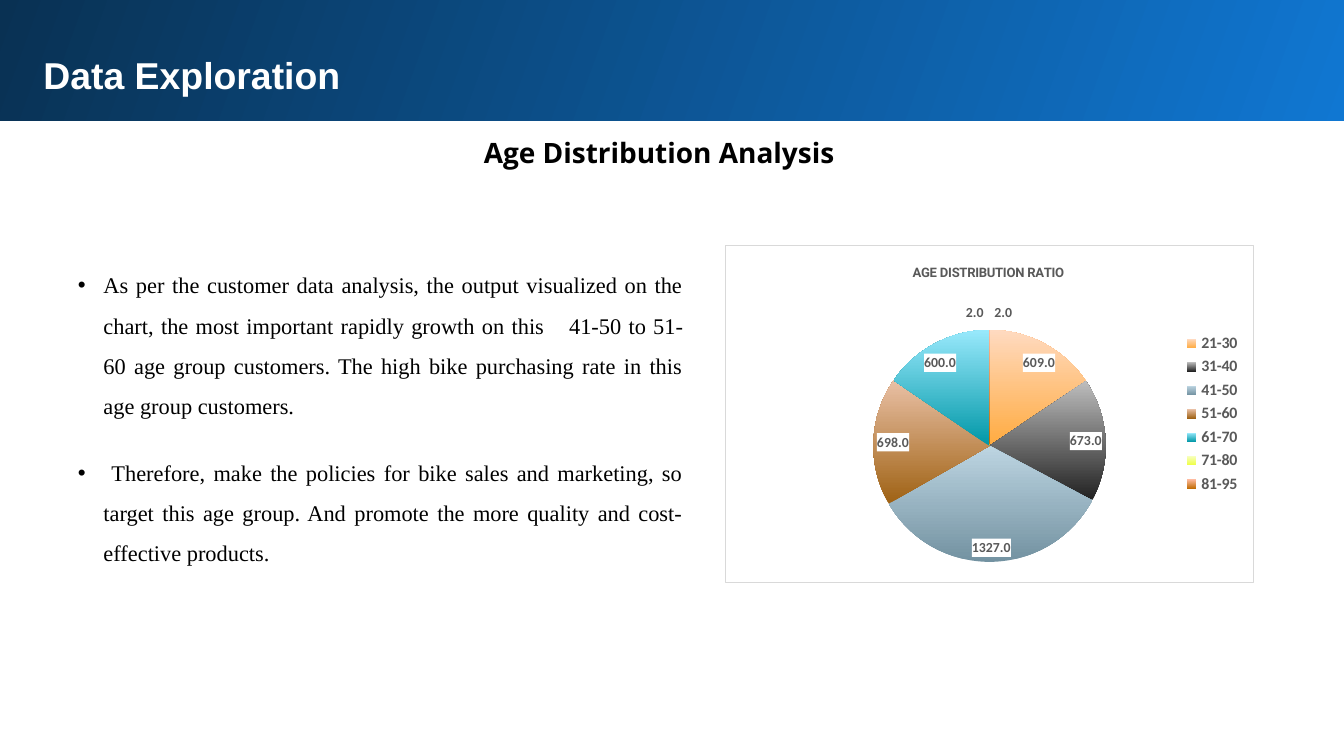
from dataclasses import dataclass

from lxml.etree import SubElement
from pptx import Presentation
from pptx.chart.data import CategoryChartData
from pptx.dml.color import RGBColor
from pptx.enum.chart import XL_CHART_TYPE, XL_LABEL_POSITION, XL_LEGEND_POSITION
from pptx.enum.shapes import MSO_SHAPE
from pptx.enum.text import MSO_AUTO_SIZE, PP_ALIGN
from pptx.oxml import parse_xml
from pptx.oxml.ns import nsdecls, qn
from pptx.util import Inches, Pt


@dataclass(frozen=True)
class Theme:
    wide: float = 10
    high: float = 10 * 9 / 16
    white: str = "FFFFFF"
    black: str = "000000"
    gray: str = "595959"
    edge: str = "D9D9D9"
    bar: tuple = ("1077D2", "093153")
    head: float = 20
    sub: float = 15
    body: float = 12
    title: float = 7
    label: float = 7.4
    legend: float = 8.5


T = Theme()
AGES = (
    ("21-30", 609, ("FFAB40", "FFDAC0")),
    ("31-40", 673, ("212121", "BDBDBD")),
    ("41-50", 1327, ("7392A1", "BDD5E2")),
    ("51-60", 698, ("9F6214", "E9C0A5")),
    ("61-70", 600, ("0097A7", "99E9FC")),
    ("71-80", 2, ("EEFF41", "F7FFC0")),
    ("81-95", 2, ("BF6B00", "FFBBA0")),
)
POINTS = (
    ("As per the customer data analysis, the output visualized on the chart, "
     "the most important rapidly growth on this", " ",
     "41-50 to 51-60 age group customers. "
     "The high bike purchasing rate in this age group customers."),
    (" Therefore, make the policies for bike sales and marketing, so target this "
     "age group. And promote the more quality and cost-effective products.",),
)


def area(left, top, width, height):
    across, down = T.wide / 100, T.high / 100
    return [Inches(n) for n in (left * across, top * down, width * across, height * down)]


def apply(item, **values):
    for name, value in values.items():
        setattr(item, name, value)


def style(font, name, size, color, bold=True):
    apply(font, name=name, size=Pt(size), bold=bold)
    font.color.rgb = RGBColor.from_string(color)


def blend(fill, colors, angle):
    fill.gradient()
    fill.gradient_angle = angle
    for stop, color in zip(fill.gradient_stops, colors):
        stop.color.rgb = RGBColor.from_string(color)


def add_bar(slide):
    bar = slide.shapes.add_shape(MSO_SHAPE.RECTANGLE, *area(-0.2, -0.4, 100.5, 16.4))
    bar.shadow.inherit = False
    bar.line.fill.background()
    blend(bar.fill, T.bar, 160)


def add_text(slide, box, lines, font, align):
    frame = slide.shapes.add_textbox(*area(*box)).text_frame
    gap = Inches(0.1)
    apply(frame, word_wrap=True, auto_size=MSO_AUTO_SIZE.SHAPE_TO_FIT_TEXT,
          margin_left=gap, margin_right=gap, margin_top=gap, margin_bottom=gap)
    for i, line in enumerate(lines):
        para = frame.add_paragraph() if i else frame.paragraphs[0]
        para.alignment = align
        for part in line:
            run = para.add_run()
            run.text = part
            style(run.font, *font)
            if part == " ":
                run.font._element.set("spc", "900")
    return frame.paragraphs


def add_list(slide, box, lines):
    font = ("Times New Roman", T.body, T.black, False)
    paras = add_text(slide, box, lines, font, PP_ALIGN.JUSTIFY)
    for i, para in enumerate(paras):
        apply(para, line_spacing=1.5, space_before=Pt(14 if i else 0))
        props = para._p.get_or_add_pPr()
        props.set("marL", str(Inches(0.19)))
        props.set("indent", str(Inches(-0.19)))
        SubElement(props, qn("a:buFont"), typeface="Arial")
        SubElement(props, qn("a:buChar"), char="•")


def paint(fill, line=""):
    edge = f'<a:ln w="{Pt(0.75)}"><a:solidFill><a:srgbClr val="{line}"/></a:solidFill></a:ln>'
    return parse_xml(
        f'<c:spPr {nsdecls("c", "a")}><a:solidFill><a:srgbClr val="{fill}"/></a:solidFill>'
        f'{edge if line else "<a:ln><a:noFill/></a:ln>"}</c:spPr>')


def place(**spots):
    parts = "".join(f'<c:{k} val="{v}"/>' for k, v in spots.items())
    return parse_xml(f'<c:layout {nsdecls("c")}><c:manualLayout>{parts}</c:manualLayout></c:layout>')


def seat(holder, layout):
    for old in holder.findall(qn("c:layout")):
        holder.remove(old)
    text = holder.find(qn("c:tx"))
    if text is None:
        holder.insert(0, layout)
    else:
        text.addnext(layout)


def add_pie(slide, box):
    data = CategoryChartData(number_format="0.0")
    data.categories = [age for age, _, _ in AGES]
    data.add_series("Series 1", [count for _, count, _ in AGES])
    chart = slide.shapes.add_chart(XL_CHART_TYPE.PIE, *area(*box), data).chart
    style(chart.font, "Arial", 10, T.black, False)
    apply(chart, has_title=True, has_legend=True)

    run = chart.chart_title.text_frame.paragraphs[0].add_run()
    run.text = "AGE DISTRIBUTION RATIO"
    style(run.font, "Roboto", T.title, T.gray)
    apply(chart.legend, position=XL_LEGEND_POSITION.RIGHT, include_in_layout=True)
    style(chart.legend.font, "Calibri", T.legend, T.gray)

    plot = chart.plots[0]
    plot.vary_by_categories = True
    series = plot.series[0]
    for i, (_, _, colors) in enumerate(AGES):
        form = series.points[i].format
        blend(form.fill, colors, 90)
        form.line.fill.background()
    labels = series.data_labels
    apply(labels, show_value=True, number_format="0.0", number_format_is_linked=False,
          position=XL_LABEL_POSITION.BEST_FIT)
    style(labels.font, "Calibri", T.label, T.gray)
    labels._element.find(qn("c:txPr")).addprevious(paint(T.white))
    for lead in labels._element.findall(qn("c:showLeaderLines")):
        lead.set("val", "0")

    root = chart._chartSpace.find(qn("c:chart"))
    root.addnext(paint(T.white, T.edge))
    seat(root.find(qn("c:title")), place(xMode="edge", yMode="edge", x=0.35, y=0.05))
    seat(root.find(qn("c:plotArea")), place(
        layoutTarget="inner", xMode="edge", yMode="edge", x=0.28, y=0.25, w=0.44, h=0.69))


def main():
    deck = Presentation()
    apply(deck, slide_width=Inches(T.wide), slide_height=Inches(T.high))
    slide = deck.slides.add_slide(deck.slide_layouts[6])
    add_bar(slide)
    add_text(slide, (2.25, 5.16, 93.7, 9.1), [["Data Exploration"]],
             ("Arial", T.head, T.white), PP_ALIGN.LEFT)
    add_text(slide, (2.2, 16.2, 93.7, 8.4), [["Age Distribution Analysis"]],
             ("Open Sans", T.sub, T.black), PP_ALIGN.CENTER)
    add_list(slide, (4.82, 32.36, 47, 44.8), POINTS)
    add_pie(slide, (53.93, 32.36, 39.4, 44.8))
    deck.save("out.pptx")


if __name__ == "__main__":
    main()
